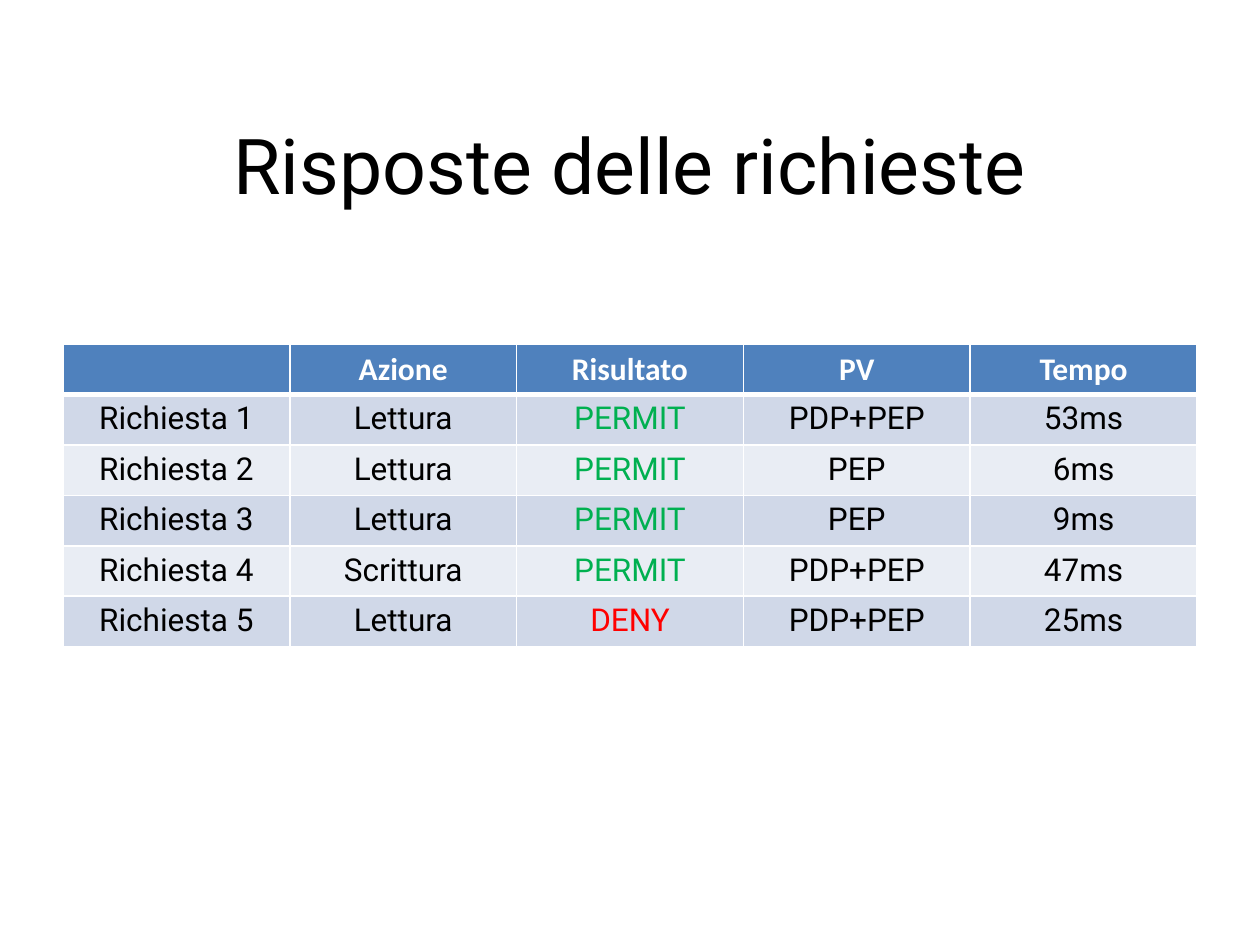
"""Build a slide with a table of request outcomes and response times."""
from lxml import etree
from pptx import Presentation, util as u
from pptx.dml.color import RGBColor
from pptx.enum import text
from pptx.oxml.ns import qn

COLORS = {
    "black": "000000", "white": "FFFFFF", "header": "4F81BD",
    "odd": "D0D8E8", "even": "E9EDF4", "PERMIT": "00B050", "DENY": "FF0000",
}
ROWS = [
    ["", "Azione", "Risultato", "PV", "Tempo"],
    ["Richiesta 1", "Lettura", "PERMIT", "PDP+PEP", "53ms"],
    ["Richiesta 2", "Lettura", "PERMIT", "PEP", "6ms"],
    ["Richiesta 3", "Lettura", "PERMIT", "PEP", "9ms"],
    ["Richiesta 4", "Scrittura", "PERMIT", "PDP+PEP", "47ms"],
    ["Richiesta 5", "Lettura", "DENY", "PDP+PEP", "25ms"],
]


def style_paragraph(paragraph, size, face, color, bold=False):
    paragraph.alignment = text.PP_ALIGN.CENTER
    paragraph.font.size = u.Pt(size)
    paragraph.font.name = face
    paragraph.font.bold = bold
    paragraph.font.color.rgb = RGBColor.from_string(COLORS[color])


def add_border(cell, side, points):
    line = etree.SubElement(cell._tc.get_or_add_tcPr(), qn(f"a:ln{side}"), w=str(u.Pt(points)))
    fill = etree.SubElement(line, qn("a:solidFill"))
    etree.SubElement(fill, qn("a:srgbClr"), val=COLORS["white"])


deck = Presentation()
deck.slide_width, deck.slide_height = u.Inches(10), u.Inches(7.5)
page = deck.slides.add_slide(deck.slide_layouts[6])
margin = int(deck.slide_width * 0.05)
content_width = deck.slide_width - 2 * margin

title = page.shapes.add_textbox(
    margin, int(deck.slide_height * 0.09), content_width, int(deck.slide_height / 6))
title.text_frame.word_wrap = True
title.text_frame.vertical_anchor = text.MSO_ANCHOR.MIDDLE
title.text_frame.text = "Risposte delle richieste"
style_paragraph(title.text_frame.paragraphs[0], 44, "Roboto", "black")

row_height = u.Inches(0.39)
table = page.shapes.add_table(
    len(ROWS), len(ROWS[0]), margin, u.Inches(2.73),
    content_width, row_height * len(ROWS)).table

for row_index, row in enumerate(ROWS):
    is_header = row_index == 0
    band = "header" if is_header else "odd" if row_index % 2 else "even"
    for column_index, value in enumerate(row):
        cell = table.cell(row_index, column_index)
        cell.text = value
        if is_header:
            style_paragraph(cell.text_frame.paragraphs[0], 18, "Calibri", "white", True)
        else:
            color = value if value in COLORS else "black"
            style_paragraph(cell.text_frame.paragraphs[0], 18, "Roboto", color)
        for side in "LRTB":
            under_header = (row_index, side) in [(0, "B"), (1, "T")]
            add_border(cell, side, 3 if under_header else 1)
        cell.fill.solid()
        cell.fill.fore_color.rgb = RGBColor.from_string(COLORS[band])

deck.save("out.pptx")
